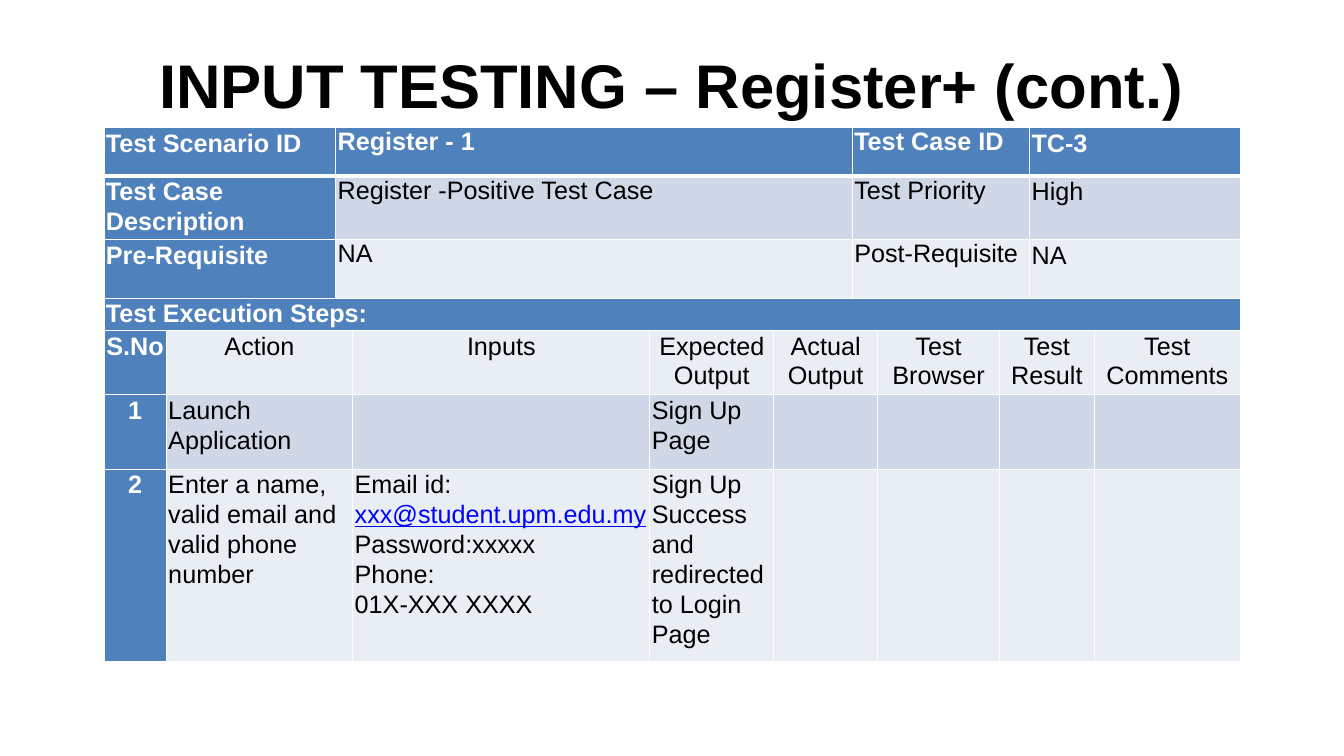
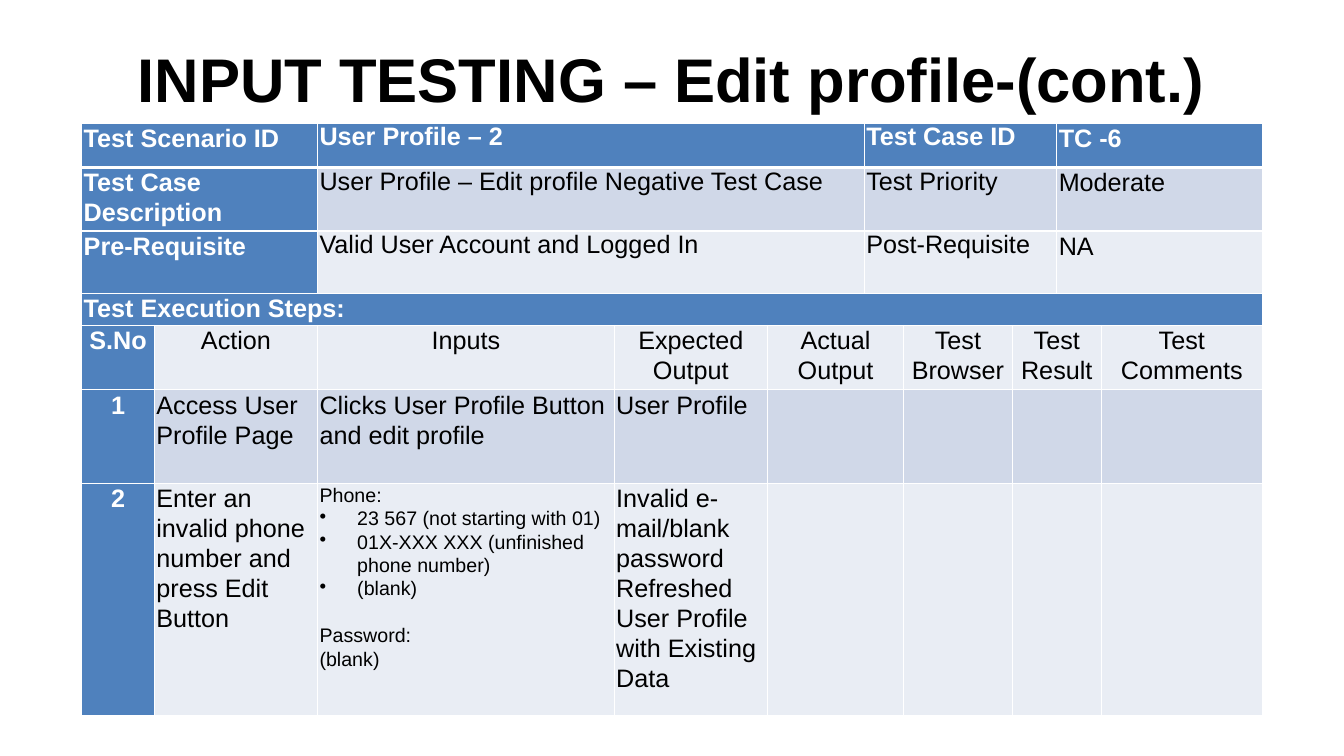
from dataclasses import dataclass

from lxml import etree
from pptx import Presentation
from pptx import util as u
from pptx.dml.color import RGBColor
from pptx.enum import text
from pptx.oxml import ns


@dataclass(frozen=True)
class Theme:
    """Colours, type sizes and line weights of the deck."""
    font: str = "Arial"
    ink: str = "000000"
    paper: str = "FFFFFF"
    header: str = "4F81BD"
    dark_band: str = "D0D8E8"
    light_band: str = "E9EDF4"
    mail: str = "0000FF"
    title: int = 44
    body: int = 18
    small: int = 14
    leading: float = 1.06
    rule: int = 1
    header_rule: int = 3


THEME = Theme()


@dataclass(frozen=True)
class Box:
    """A region in centimetres."""
    left: float
    top: float
    width: float
    height: float


@dataclass(frozen=True)
class Line:
    """One paragraph of a cell, with an optional address at its end."""
    text: str
    size: int = THEME.body
    mail: str = ""
    bullet: bool = False
    gap: int = 0


@dataclass(frozen=True)
class TestCase:
    """Content and grid of one test case slide."""
    title: str
    title_box: Box
    table_box: Box
    columns: tuple
    heights: tuple
    fact_spans: tuple
    step_spans: tuple
    facts: tuple
    steps: tuple


FACT_LABELS = (
    ("Test Scenario ID", "Test Case ID"),
    ("Test Case Description", "Test Priority"),
    ("Pre-Requisite", "Post-Requisite"),
)
STEP_HEADINGS = ("S.No", "Action", "Inputs", "Expected Output", "Actual Output",
                 "Test Browser", "Test Result", "Test Comments")
BANDS = (THEME.header, THEME.dark_band, THEME.light_band, THEME.header,
         THEME.light_band, THEME.dark_band, THEME.light_band)
HEADING_ROW = 4

CASES = (
    TestCase(
        title="INPUT TESTING – Register+ (cont.)",
        title_box=Box(0, 0.89, 33.87, 1.73),
        table_box=Box(2.62, 3.22, 28.64, 13.46),
        columns=(1.57, 4.27, 0.43, 7.49, 3.12, 1.98, 0.64, 3.07, 0.76, 1.63, 3.68),
        heights=(1.22, 1.6, 1.48, 0.81, 1.62, 1.88, 4.85),
        fact_spans=(2, 4, 3, 2),
        step_spans=(1, 2, 1, 1, 2, 1, 2, 1),
        facts=(("Register - 1", "TC-3"), ("Register -Positive Test Case", "High"),
               ("NA", "NA")),
        steps=(
            ("Launch Application", "", "Sign Up Page"),
            ("Enter a name, valid email and valid phone number",
             (Line("Email id: ", mail="xxx@student.upm.edu.my"),
              Line("Password:xxxxx"), Line("Phone:"), Line("01X-XXX XXXX")),
             "Sign Up Success and redirected to Login Page"),
        ),
    ),
    TestCase(
        title="INPUT TESTING – Edit profile-(cont.)",
        title_box=Box(0, 0.74, 33.87, 1.73),
        table_box=Box(2.06, 3.1, 29.76, 14.92),
        columns=(1.83, 4.11, 7.47, 3.86, 2.44, 0.99, 2.74, 1.12, 1.12, 4.06),
        heights=(1.12, 1.6, 1.57, 0.81, 1.62, 2.36, 5.84),
        fact_spans=(2, 3, 3, 2),
        step_spans=(1, 1, 1, 1, 2, 1, 2, 1),
        facts=(("User Profile – 2", "TC -6"),
               ("User Profile – Edit profile Negative Test Case", "Moderate"),
               ("Valid User Account and Logged In", "NA")),
        steps=(
            ("Access User Profile Page", "Clicks User Profile Button and edit profile",
             "User Profile"),
            ("Enter an invalid phone number and press Edit Button",
             (Line("Phone:", THEME.small),
              Line("23 567 (not starting with 01)", THEME.small, bullet=True),
              Line("01X-XXX XXX (unfinished phone number)", THEME.small, bullet=True),
              Line("(blank)", THEME.small, bullet=True),
              Line("Password:", THEME.small, gap=17),
              Line("(blank)", THEME.small)),
             "Invalid e-mail/blank password Refreshed User Profile with Existing Data"),
        ),
    ),
)


def style_font(font, size, color, bold=False):
    """Apply the deck typeface with a size, colour and weight."""
    font.name = THEME.font
    font.size = u.Pt(size)
    font.bold = bold
    font.color.rgb = RGBColor.from_string(color)


def add_bullet(para):
    """Give a paragraph a hanging bullet."""
    properties = para._p.get_or_add_pPr()
    properties.set("marL", str(u.Cm(0.95)))
    properties.set("indent", str(-u.Cm(0.95)))
    etree.SubElement(properties, ns.qn("a:buChar")).set("char", "•")


def rule_cell(cell, top, bottom):
    """Draw the white rules around a cell."""
    properties = cell._tc.get_or_add_tcPr()
    weights = {"lnL": THEME.rule, "lnR": THEME.rule, "lnT": top, "lnB": bottom}
    for position, (side, weight) in enumerate(weights.items()):
        line = etree.Element(ns.qn(f"a:{side}"), w=str(u.Pt(weight)))
        fill = etree.SubElement(line, ns.qn("a:solidFill"))
        etree.SubElement(fill, ns.qn("a:srgbClr")).set("val", THEME.paper)
        properties.insert(position, line)


def write_cell(cell, content, header, centred, leading):
    """Write a string or a sequence of lines into a cell."""
    cell.margin_left = cell.margin_right = u.Cm(0.05)
    cell.margin_top = cell.margin_bottom = 0
    lines = (Line(content),) if isinstance(content, str) else content
    color = THEME.paper if header else THEME.ink
    frame = cell.text_frame
    frame.text = "\n".join(line.text for line in lines)
    for para, line in zip(frame.paragraphs, lines):
        if line.bullet:
            add_bullet(para)
        para.line_spacing = leading
        if line.gap:
            para.space_before = u.Pt(line.gap)
        if centred:
            para.alignment = text.PP_ALIGN.CENTER
        style_font(para.font, line.size, color, header)
        for span in para.runs:
            style_font(span.font, line.size, color, header)
        if line.mail:
            address = para.add_run()
            address.text = line.mail
            style_font(address.font, line.size, THEME.mail)
            address.font.underline = True


def table_rows(case):
    """Return the contents and column spans of every table row."""
    rows = [((label, value, second_label, second_value), case.fact_spans)
            for (label, second_label), (value, second_value)
            in zip(FACT_LABELS, case.facts)]
    rows.append((("Test Execution Steps:",), (len(case.columns),)))
    rows.append((STEP_HEADINGS, case.step_spans))
    for number, step in enumerate(case.steps, 1):
        rows.append(((str(number), *step, "", "", "", ""), case.step_spans))
    return rows


def add_test_table(page, box, case):
    """Place the test case table in its box."""
    rows = table_rows(case)
    table = page.shapes.add_table(
        len(rows), len(case.columns), u.Cm(box.left), u.Cm(box.top),
        u.Cm(box.width), u.Cm(box.height)).table
    for column, width in zip(table.columns, case.columns):
        column.width = u.Cm(box.width * width / sum(case.columns))
    for row, height in zip(table.rows, case.heights):
        row.height = u.Cm(box.height * height / sum(case.heights))
    for row, (contents, spans) in enumerate(rows):
        start = 0
        for position, (content, span) in enumerate(zip(contents, spans)):
            cell = table.cell(row, start)
            if span > 1:
                cell.merge(table.cell(row, start + span - 1))
            band = THEME.header if position == 0 else BANDS[row]
            centred = row == HEADING_ROW or (row > HEADING_ROW and position == 0)
            plain = row < len(FACT_LABELS) and position in (1, 2)
            write_cell(cell, content, band == THEME.header, centred,
                       1.0 if plain else THEME.leading)
            cell.fill.solid()
            cell.fill.fore_color.rgb = RGBColor.from_string(band)
            rule_cell(cell, THEME.header_rule if row == 1 else THEME.rule,
                      THEME.header_rule if row == 0 else THEME.rule)
            start += span


def place_title(page, box, words):
    """Move and format the title placeholder."""
    title = page.shapes.title
    title.left, title.top = u.Cm(box.left), u.Cm(box.top)
    title.width, title.height = u.Cm(box.width), u.Cm(box.height)
    frame = title.text_frame
    frame.text = words
    frame.word_wrap = True
    frame.auto_size = text.MSO_AUTO_SIZE.NONE
    frame.vertical_anchor = text.MSO_ANCHOR.TOP
    frame.margin_top = u.Cm(0.3)
    frame.margin_bottom = 0
    para = frame.paragraphs[0]
    para.alignment = text.PP_ALIGN.CENTER
    style_font(para.runs[0].font, THEME.title, THEME.ink, True)


def add_test_page(deck, case):
    """Add one test case slide."""
    page = deck.slides.add_slide(deck.slide_layouts[5])
    place_title(page, case.title_box, case.title)
    add_test_table(page, case.table_box, case)


def main():
    """Build and save the deck."""
    deck = Presentation()
    deck.slide_width, deck.slide_height = u.Cm(33.87), u.Cm(19.05)
    for case in CASES:
        add_test_page(deck, case)
    deck.save("out.pptx")


if __name__ == "__main__":
    main()
